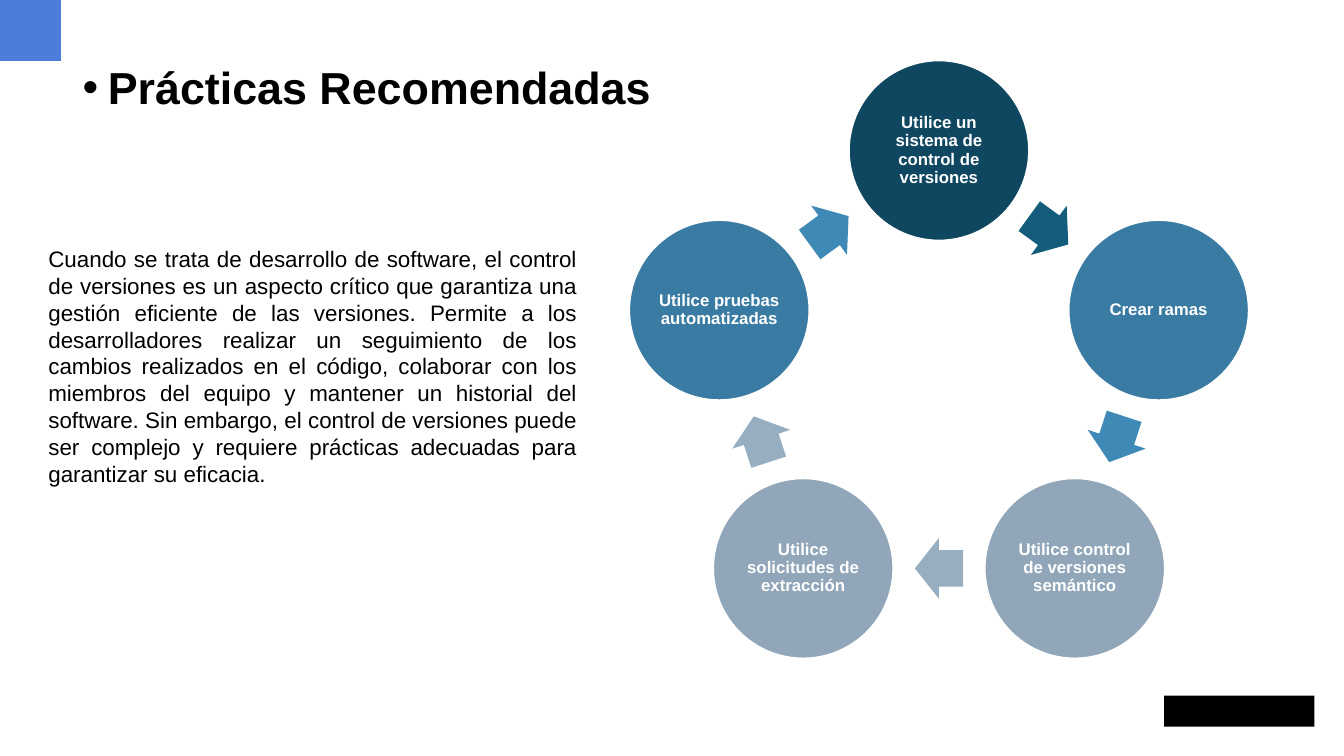
from math import cos, radians, sin

from lxml.etree import SubElement
from pptx import Presentation
from pptx.dml.color import RGBColor
from pptx.enum.shapes import MSO_SHAPE
from pptx.enum.text import MSO_ANCHOR, PP_ALIGN
from pptx.oxml.ns import qn
from pptx.util import Pt

TITLE = "Prácticas Recomendadas"
BODY = (
    "Cuando se trata de desarrollo de software, el control de versiones es un "
    "aspecto crítico que garantiza una gestión eficiente de las versiones. "
    "Permite a los desarrolladores realizar un seguimiento de los cambios "
    "realizados en el código, colaborar con los miembros del equipo y mantener "
    "un historial del software. Sin embargo, el control de versiones puede ser "
    "complejo y requiere prácticas adecuadas para garantizar su eficacia."
)
STEPS = [
    ("Utilice un sistema de control de versiones", "104760", "145C7C"),
    ("Crear ramas", "3A7BA3", "3E89B6"),
    ("Utilice control de versiones semántico", "91A7B9", "97AEC1"),
    ("Utilice solicitudes de extracción", "91A7B9", "97AEC1"),
    ("Utilice pruebas automatizadas", "3A7BA3", "3E89B6"),
]
MID_X, MID_Y = 670.7, 272.5
RING = 165
DISC = 128.9
ARROW_W, ARROW_H = 34.4, 43.5


def paint(target, color):
    target.solid()
    target.fore_color.rgb = RGBColor.from_string(color)


def style(para, size, color, bold=False):
    font = para.font
    font.name = "Arial"
    font.size = Pt(size)
    font.bold = bold
    paint(font.fill, color)


def add_box(slide, left, top, width, height, text):
    box = slide.shapes.add_textbox(Pt(left), Pt(top), Pt(width), Pt(height))
    frame = box.text_frame
    frame.word_wrap = True
    frame.text = text
    return frame.paragraphs[0]


def add_bullet(para, indent):
    props = para._p.get_or_add_pPr()
    props.set("marL", str(Pt(indent)))
    props.set("indent", str(-Pt(indent)))
    SubElement(props, qn("a:buFont")).set("typeface", "Arial")
    SubElement(props, qn("a:buChar")).set("char", "•")


def add_shape(slide, kind, left, top, width, height, color):
    shape = slide.shapes.add_shape(kind, Pt(left), Pt(top), Pt(width), Pt(height))
    shape.shadow.inherit = False
    paint(shape.fill, color)
    shape.line.fill.background()
    return shape


def add_polar(slide, kind, angle, radius, width, height, color):
    left = MID_X + radius * sin(radians(angle)) - width / 2
    top = MID_Y - radius * cos(radians(angle)) - height / 2
    return add_shape(slide, kind, left, top, width, height, color)


def add_disc(slide, angle, text, color):
    disc = add_polar(slide, MSO_SHAPE.OVAL, angle, RING, DISC, DISC, color)
    paint(disc.line.fill, "FFFFFF")
    disc.line.width = Pt(1.5)
    frame = disc.text_frame
    frame.word_wrap = True
    frame.vertical_anchor = MSO_ANCHOR.MIDDLE
    frame.margin_left = frame.margin_right = Pt(1.2)
    frame.margin_top = frame.margin_bottom = Pt(1.2)
    frame.text = text
    para = frame.paragraphs[0]
    para.alignment = PP_ALIGN.CENTER
    para.line_spacing = 0.9
    style(para, 12, "FFFFFF", True)


def add_arrow(slide, angle, radius, color):
    arrow = add_polar(
        slide, MSO_SHAPE.RIGHT_ARROW, angle, radius, ARROW_W, ARROW_H, color
    )
    arrow.adjustments[0] = 0.6
    arrow.adjustments[1] = 0.5
    arrow.rotation = angle


def add_cycle(slide):
    step = 360 / len(STEPS)
    inner = RING * cos(radians(step / 2))
    for index, (text, fill, tint) in enumerate(STEPS):
        angle = index * step
        add_disc(slide, angle, text, fill)
        add_arrow(slide, angle + step / 2, inner, tint)


def main():
    deck = Presentation()
    deck.slide_width, deck.slide_height = Pt(960), Pt(540)
    slide = deck.slides.add_slide(deck.slide_layouts[6])

    add_shape(slide, MSO_SHAPE.RECTANGLE, 0, 0, 43.5, 43.5, "4E7CDD")
    add_shape(slide, MSO_SHAPE.RECTANGLE, 831.6, 496.8, 107.3, 22.3, "000000")

    title = add_box(slide, 52, 43.2, 541.5, 36.7, TITLE)
    add_bullet(title, 18)
    title.line_spacing = 0.9
    style(title, 32, "000000", True)

    body = add_box(slide, 27.5, 171.5, 391.7, 181.5, BODY)
    body.alignment = PP_ALIGN.JUSTIFY
    style(body, 16, "000000")

    add_cycle(slide)
    deck.save("out.pptx")


if __name__ == "__main__":
    main()
